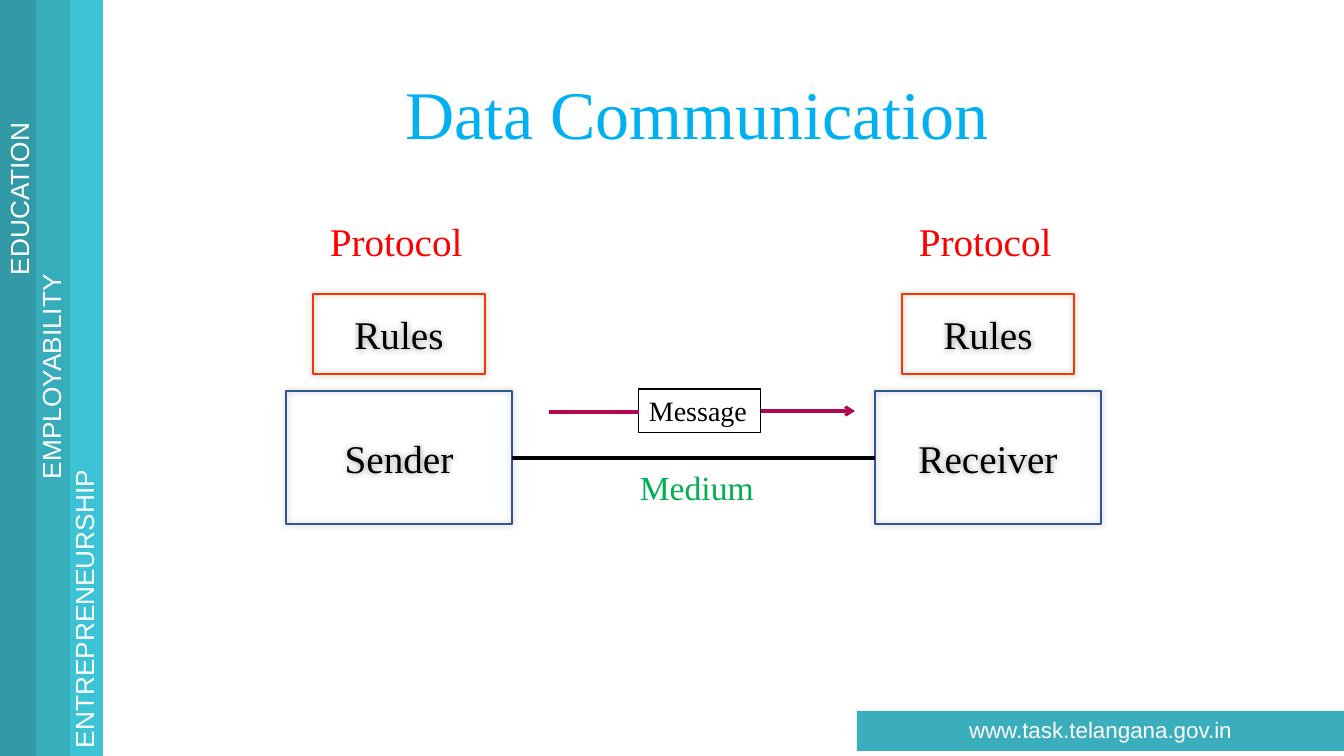
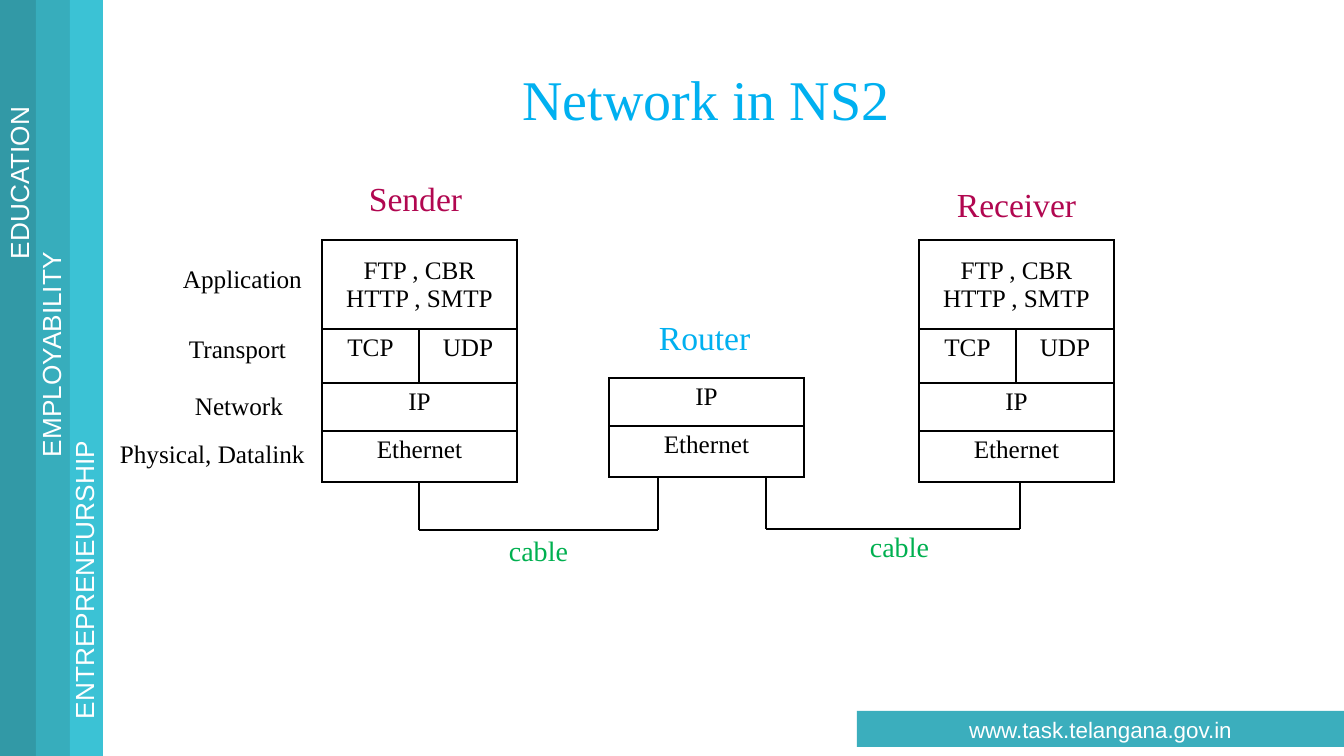
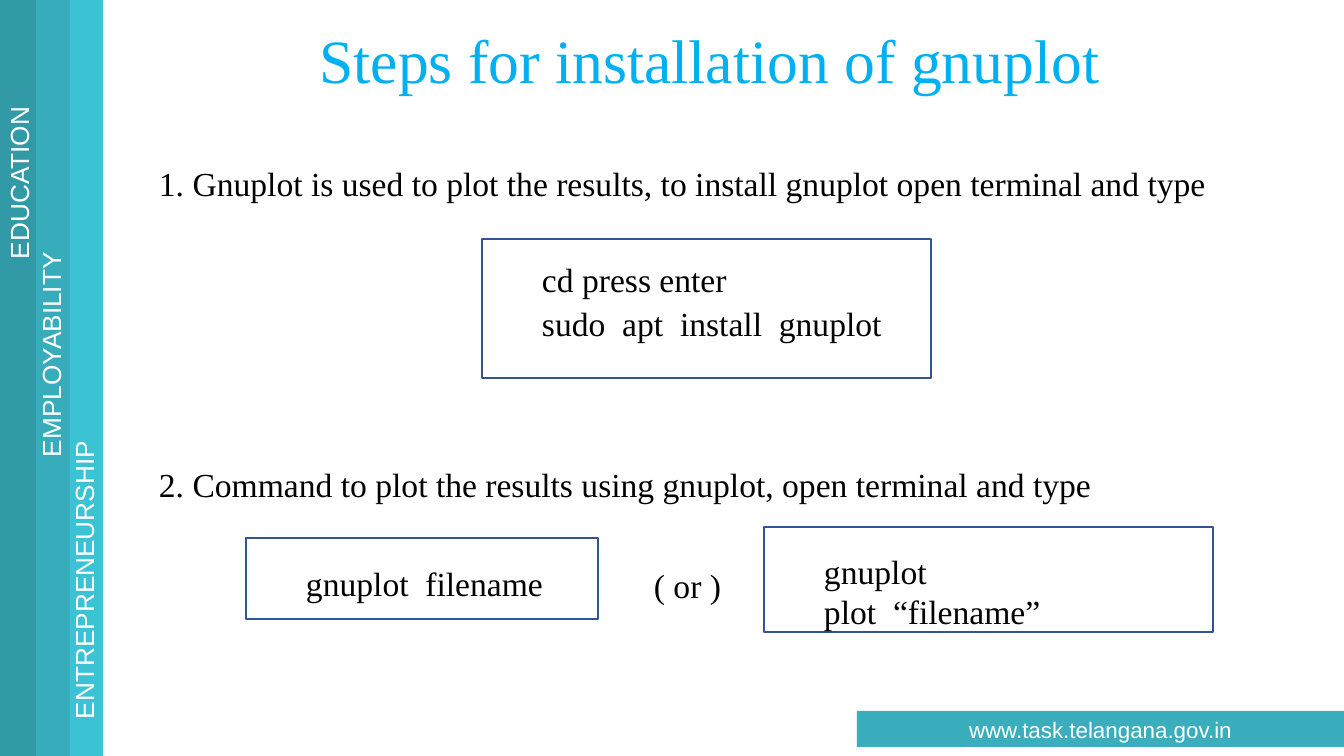
"""Build three slides on data communication, NS2 networks and gnuplot."""
from itertools import pairwise

from lxml.etree import SubElement
from pptx import Presentation
from pptx.dml.color import RGBColor
from pptx.enum.shapes import MSO_CONNECTOR, MSO_SHAPE
from pptx.enum.text import MSO_ANCHOR, MSO_AUTO_SIZE, PP_ALIGN
from pptx.oxml.ns import qn
from pptx.util import Pt

SLIDE_WIDTH, SLIDE_HEIGHT = 1344, 756
SCALE = 12192000 / SLIDE_WIDTH
SERIF, SANS = "Times New Roman", "Arial"
BLACK, WHITE, RED, GREEN = "000000", "FFFFFF", "FF0000", "00B050"
SKY, NAVY, ORANGE, CRIMSON = "00B0F0", "325491", "FF3300", "B10750"

BANDS = [(0, 36, "3299A6"), (36, 34, "37ADBC"), (70, 33, "3BC2D5")]
BAND_LABELS = [("EDUCATION", 19, 190), ("EMPLOYABILITY", 51, 249), ("ENTREPRENEURSHIP", 84, 330)]
BAND_LABEL_HEIGHT = 42
FOOTER, FOOTER_COLOR = "www.task.telangana.gov.in", "3BAEBD"

MODEL = {
    "title": "Data Communication", "title_area": (198, 73, 998, 88), "title_size": 48.6,
    "label_ends": (285, 489, 758), "footer_height": 40,
}
HOSTS = [("Sender", 286), ("Receiver", 875)]
HOST_WIDTH = 226

NETWORK = {
    "title": "Network in NS2", "title_area": (207, 55, 998, 95), "title_size": 40,
    "label_ends": (269, 467, 729), "footer_height": 36,
}
LOWER_LAYERS = [(48, ["IP"]), (51, ["Ethernet"])]
ALL_LAYERS = [(89, ["FTP , CBR\nHTTP , SMTP"]), (54, ["TCP", "UDP"])] + LOWER_LAYERS
STACKS = [
    (322, 240, [97, 98], ALL_LAYERS),
    (919, 240, [97, 98], ALL_LAYERS),
    (609, 378, [195], LOWER_LAYERS),
]
CABLES = [
    [(419, 483), (419, 530), (658, 530), (658, 478)],
    [(766, 478), (766, 529), (1020, 529), (1020, 482)],
]
NETWORK_LABELS = [
    ("Sender", 359, 173, 122, 24, CRIMSON),
    ("Receiver", 947, 179, 150, 24, CRIMSON),
    ("Router", 649, 312, 122, 24, SKY),
    ("cable", 499, 529, 90, 20, GREEN),
    ("cable", 860, 525, 90, 20, GREEN),
    ("Application", 173, 258, 149, 18, BLACK),
    ("Transport", 179, 328, 135, 18, BLACK),
    ("Network", 185, 385, 125, 18, BLACK),
    ("Physical, Datalink", 110, 433, 215, 18, BLACK),
]

INSTALL = {
    "title": "Steps for installation of gnuplot", "title_area": (95, 13, 1230, 102),
    "title_size": 44, "label_ends": (269, 467, 729), "footer_height": 36,
}
STEPS = [
    ("1. Gnuplot is used to plot the results, to install gnuplot open terminal and type", 149, 158, 1146),
    ("2. Command to plot the results using gnuplot, open terminal and type", 149, 459, 1146),
    ("( or )", 644, 560, 100),
]
COMMANDS = [
    (["cd press enter", "sudo  apt  install  gnuplot"], (482, 239, 449, 139), 16, 1.1),
    (["gnuplot  filename"], (246, 538, 352, 81), 21, 1.1),
    (["gnuplot", "plot  “filename”"], (764, 527, 449, 105), 24, 1.0),
]
COMMAND_INDENT = 60


def px(length):
    return round(length * SCALE)


def rgb(color):
    return RGBColor.from_string(color)


def write(frame, lines, size, color=BLACK, font=SERIF, align=PP_ALIGN.LEFT,
          anchor=MSO_ANCHOR.TOP, spacing=1.0):
    frame.word_wrap = True
    frame.vertical_anchor = anchor
    for index, line in enumerate(lines):
        paragraph = frame.add_paragraph() if index else frame.paragraphs[0]
        paragraph.text = line
        paragraph.alignment = align
        paragraph.line_spacing = spacing
        paragraph.font.size = Pt(size)
        paragraph.font.name = font
        paragraph.font.color.rgb = rgb(color)


def add_label(slide, text, left, top, width, size, color=BLACK):
    height = size * 1.65 + 10
    box = slide.shapes.add_textbox(px(left), px(top), px(width), px(height))
    write(box.text_frame, [text], size, color)


def add_box(slide, area, fill=None, line=None, line_width=1, glow=False):
    box = slide.shapes.add_shape(MSO_SHAPE.RECTANGLE, *map(px, area))
    box.shadow.inherit = False
    if fill:
        box.fill.solid()
        box.fill.fore_color.rgb = rgb(fill)
    else:
        box.fill.background()
    if line:
        box.line.color.rgb = rgb(line)
        box.line.width = Pt(line_width)
    else:
        box.line.fill.background()
    if glow:
        effects = box.element.spPr.find(qn("a:effectLst"))
        shadow = SubElement(effects, qn("a:outerShdw"), blurRad=str(Pt(5)), dist="0", dir="0")
        tint = SubElement(shadow, qn("a:srgbClr"), val=BLACK)
        SubElement(tint, qn("a:alpha"), val="40000")
    return box


def add_line(slide, start, end, color, width, arrow=False):
    line = slide.shapes.add_connector(MSO_CONNECTOR.STRAIGHT, *map(px, start + end))
    line.line.color.rgb = rgb(color)
    line.line.width = Pt(width)
    if arrow:
        SubElement(line.line._get_or_add_ln(), qn("a:tailEnd"), type="arrow")
    SubElement(line.element.spPr, qn("a:effectLst"))


def add_page(deck, content):
    slide = deck.slides.add_slide(deck.slide_layouts[5])
    for left, width, color in BANDS:
        add_box(slide, (left, 0, width, SLIDE_HEIGHT), fill=color)
    for (text, center, length), end in zip(BAND_LABELS, content["label_ends"]):
        left = center - length / 2
        top = end - length / 2 - BAND_LABEL_HEIGHT / 2
        label = slide.shapes.add_textbox(px(left), px(top), px(length), px(BAND_LABEL_HEIGHT))
        label.rotation = 270
        write(label.text_frame, [text], 18.7, WHITE, SANS)
    footer = add_box(slide, (857, 711, SLIDE_WIDTH - 857, content["footer_height"]), fill=FOOTER_COLOR)
    write(footer.text_frame, [FOOTER], 16, WHITE, SANS, PP_ALIGN.CENTER)
    title = slide.shapes.title
    title.left, title.top, title.width, title.height = map(px, content["title_area"])
    title.text_frame.auto_size = MSO_AUTO_SIZE.NONE
    write(title.text_frame, [content["title"]], content["title_size"], SKY,
          align=PP_ALIGN.CENTER, anchor=MSO_ANCHOR.MIDDLE, spacing=0.9)
    return slide


def add_borders(cell):
    properties = cell._tc.get_or_add_tcPr()
    for side in ("lnL", "lnR", "lnT", "lnB"):
        border = SubElement(properties, qn(f"a:{side}"), w=str(Pt(1)))
        fill = SubElement(border, qn("a:solidFill"))
        SubElement(fill, qn("a:srgbClr"), val=BLACK)
    cell.fill.background()


def add_stack(slide, left, top, columns, layers):
    height = sum(row_height for row_height, _ in layers)
    area = map(px, (left, top, sum(columns), height))
    table = slide.shapes.add_table(len(layers), len(columns), *area).table
    table.first_row = table.horz_banding = False
    for column, width in zip(table.columns, columns):
        column.width = px(width)
    for row, (row_height, texts) in enumerate(layers):
        table.rows[row].height = px(row_height)
        for column in range(len(columns)):
            add_borders(table.cell(row, column))
        if len(texts) < len(columns):
            table.cell(row, 0).merge(table.cell(row, len(columns) - 1))
        for column, text in enumerate(texts):
            lines = text.split("\n")
            cell = table.cell(row, column)
            write(cell.text_frame, lines, 18, align=PP_ALIGN.CENTER)
            cell.vertical_anchor = MSO_ANCHOR.MIDDLE if len(lines) > 1 else MSO_ANCHOR.TOP


def build_model(deck):
    slide = add_page(deck, MODEL)
    for name, left in HOSTS:
        parts = [
            (name, (left, 391, HOST_WIDTH, 133), NAVY),
            ("Rules", (left + 27, 294, HOST_WIDTH - 54, 80), ORANGE),
        ]
        for text, area, color in parts:
            box = add_box(slide, area, line=color, glow=True)
            write(box.text_frame, [text], 28, align=PP_ALIGN.CENTER, anchor=MSO_ANCHOR.MIDDLE)
        add_label(slide, "Protocol", left + 34, 212, 160, 28, RED)
    add_line(slide, (HOSTS[0][1] + HOST_WIDTH, 458), (HOSTS[1][1], 458), BLACK, 3)
    add_label(slide, "Medium", 630, 462, 150, 24, GREEN)
    message = add_box(slide, (639, 389, 122, 44), line=BLACK, line_width=0.75)
    write(message.text_frame, ["Message"], 20)
    add_line(slide, (549, 412), (639, 412), CRIMSON, 2.25)
    add_line(slide, (761, 411), (855, 411), CRIMSON, 2.25, arrow=True)


def build_network(deck):
    slide = add_page(deck, NETWORK)
    for stack in STACKS:
        add_stack(slide, *stack)
    for cable in CABLES:
        for start, end in pairwise(cable):
            add_line(slide, start, end, BLACK, 1.5)
    for label in NETWORK_LABELS:
        add_label(slide, *label)


def build_install(deck):
    slide = add_page(deck, INSTALL)
    for step in STEPS:
        add_label(slide, *step, 24)
    for lines, area, inset, spacing in COMMANDS:
        box = add_box(slide, area, line=NAVY, line_width=1.5)
        box.text_frame.margin_left = px(COMMAND_INDENT)
        box.text_frame.margin_top = px(inset)
        write(box.text_frame, lines, 24, spacing=spacing)


def main():
    deck = Presentation()
    deck.slide_width, deck.slide_height = px(SLIDE_WIDTH), px(SLIDE_HEIGHT)
    build_model(deck)
    build_network(deck)
    build_install(deck)
    deck.save("out.pptx")


if __name__ == "__main__":
    main()
